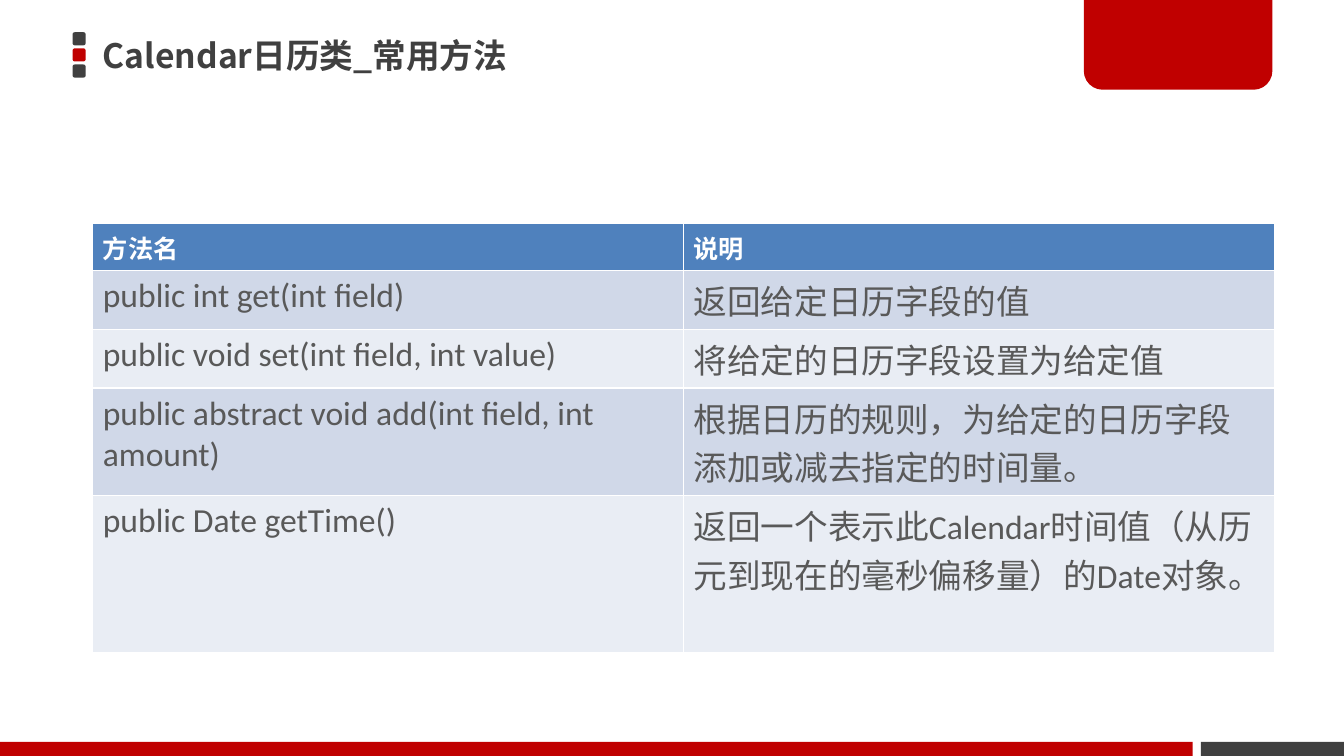
"""Build a slide listing the common methods of the Calendar class."""
import pptx
import pptx.dml.color
import pptx.enum.shapes
import pptx.enum.text
import pptx.oxml.ns
import pptx.util

Inches = pptx.util.Inches
Kind = pptx.enum.shapes.MSO_SHAPE
CJK = "Noto Sans CJK JP"
RED, DARK = "C00000", "404040"
HEAD = {"name": "Calibri", "size": pptx.util.Pt(18), "bold": True, "color": "FFFFFF"}
BODY = {"name": "Calibri", "size": pptx.util.Pt(24), "bold": False, "color": "595959"}
TITLE = {"name": CJK, "size": pptx.util.Pt(24), "bold": True, "color": DARK}
ROWS = [
    (0.46, "方法名", "说明"),
    (0.58, "public int get(int field)", "返回给定日历字段的值"),
    (0.58, "public void set(int field, int value)", "将给定的日历字段设置为给定值"),
    (1.07, "public abstract void add(int field, int amount)",
     "根据日历的规则，为给定的日历字段添加或减去指定的时间量。"),
    (1.55, "public Date getTime()",
     "返回一个表示此Calendar时间值（从历元到现在的毫秒偏移量）的Date对象。"),
]


def paint(target, color):
    target.solid()
    target.fore_color.rgb = pptx.dml.color.RGBColor.from_string(color)


class Page:
    def __init__(self, deck):
        self.slide = deck.slides.add_slide(deck.slide_layouts[5])

    def label(self, frame, text, style):
        para = frame.paragraphs[0]
        para.alignment = pptx.enum.text.PP_ALIGN.LEFT
        run = para.add_run()
        run.text = text
        for key, value in style.items():
            if key == "color":
                paint(run.font.fill, value)
            else:
                setattr(run.font, key, value)
        props = run._r.get_or_add_rPr()
        east = props.makeelement(pptx.oxml.ns.qn("a:ea"), {"typeface": CJK})
        props.append(east)

    def title(self, box, text):
        shape = self.slide.shapes.title
        for key, value in zip(("left", "top", "width", "height"), box):
            setattr(shape, key, Inches(value))
        frame = shape.text_frame
        frame.vertical_anchor = pptx.enum.text.MSO_ANCHOR.MIDDLE
        frame.auto_size = pptx.enum.text.MSO_AUTO_SIZE.NONE
        self.label(frame, text, TITLE)

    def block(self, kind, box, color, bends=()):
        shape = self.slide.shapes.add_shape(kind, *map(Inches, box))
        shape.shadow.inherit = False
        paint(shape.fill, color)
        shape.line.fill.background()
        for i, bend in enumerate(bends):
            shape.adjustments[i] = bend

    def table(self, box, rows):
        grid = self.slide.shapes.add_table(len(rows), 2, *map(Inches, box)).table
        for i, (high, *texts) in enumerate(rows):
            grid.rows[i].height = Inches(high)
            fill = "4F81BD" if i == 0 else ("E9EDF4", "D0D8E8")[i % 2]
            for j, text in enumerate(texts):
                cell = grid.cell(i, j)
                paint(cell.fill, fill)
                self.label(cell.text_frame, text, BODY if i else HEAD)


def main():
    deck = pptx.Presentation()
    deck.slide_width, deck.slide_height = Inches(13.33), Inches(7.5)
    page = Page(deck)
    for i, color in enumerate((DARK, RED, DARK)):
        page.block(Kind.ROUNDED_RECTANGLE, (0.72, 0.32 + 0.16 * i, 0.13, 0.13), color)
    page.block(Kind.RECTANGLE, (11.91, 7.36, 1.42, 0.14), DARK)
    page.block(Kind.ROUND_2_SAME_RECTANGLE, (10.75, 0, 1.87, 0.89), RED, (0, 0.21))
    page.block(Kind.RECTANGLE, (0, 7.36, 11.83, 0.14), RED)
    page.title((0.92, 0.26, 9.59, 0.57), "Calendar日历类_常用方法")
    page.table((0.92, 2.22, 11.72, sum(row[0] for row in ROWS)), ROWS)
    deck.save("out.pptx")


if __name__ == "__main__":
    main()
